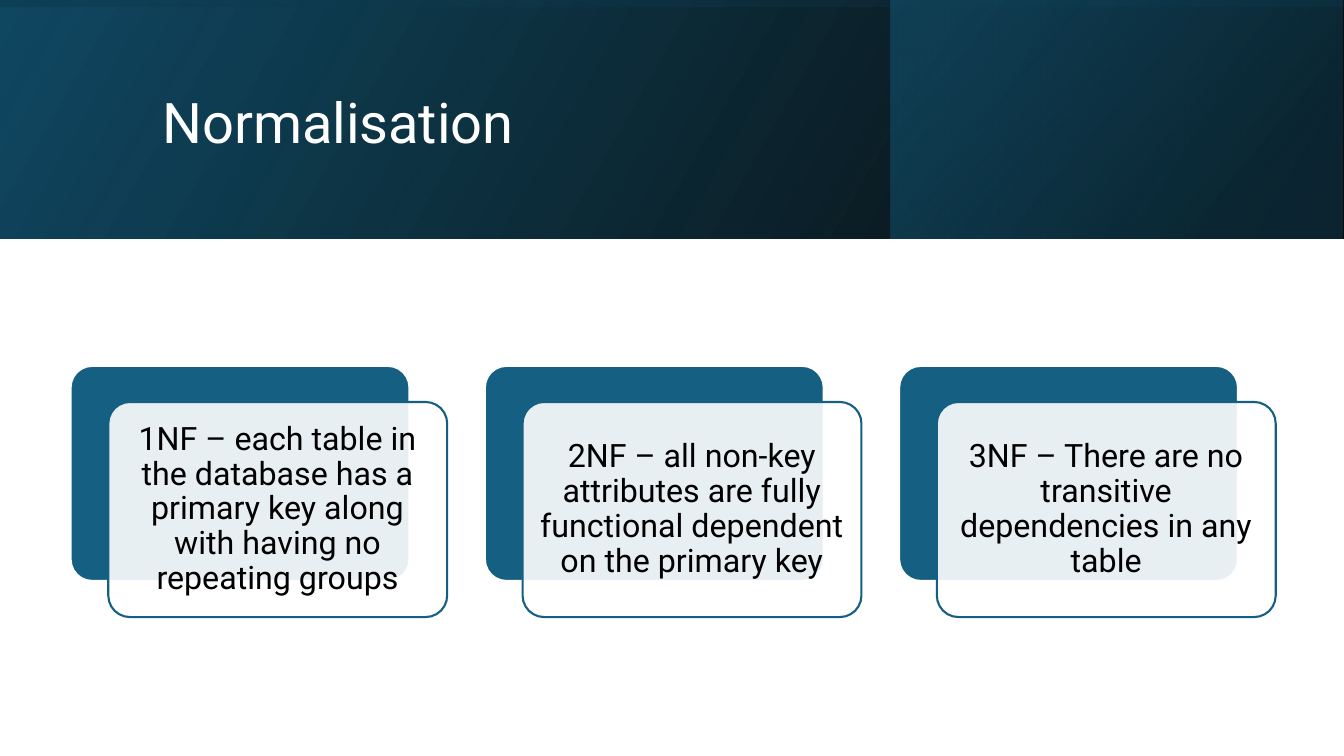
from lxml.etree import SubElement
from pptx import Presentation
from pptx.dml.color import RGBColor
from pptx.enum.shapes import MSO_SHAPE
from pptx.enum.text import MSO_ANCHOR, MSO_AUTO_SIZE, PP_ALIGN
from pptx.oxml.ns import qn
from pptx.util import Cm, Pt

WIDE, HIGH, BAND = 33.87, 19.05, 6.02
BLUE, WHITE, BLACK = "156082", "FFFFFF", "000000"
NAVY = "104862"
FORMS = [
    "1NF – each table in the database has a primary key along with having no repeating groups",
    "2NF – all non-key attributes are fully functional dependent on the primary key",
    "3NF – There are no transitive dependencies in any table",
]
BANDS = [
    ((0, 0, WIDE, BAND), 0, 330, [(0, BLACK, 96), (100, NAVY, 100)]),
    ((22.45, 0, 11.38, BAND), 0, 320, [(19, "0B3041", 68), (100, BLUE, 48)]),
    (((WIDE - BAND) / 2, (BAND - WIDE) / 2, BAND, WIDE), 270, 350,
     [(23, NAVY, 16), (99, BLACK, 45)]),
]


def color(code):
    return RGBColor.from_string(code)


def apply(item, style):
    for name, value in style.items():
        setattr(item, name, value)


def fade(node, alpha):
    SubElement(node, qn("a:alpha"), val=str(alpha * 1000))


class Deck:
    font = "Roboto"
    frame = {"word_wrap": True, "auto_size": MSO_AUTO_SIZE.NONE,
             "vertical_anchor": MSO_ANCHOR.MIDDLE}
    inset = {f"margin_{side}": Cm(0.25) for side in ("left", "top", "right", "bottom")}

    def __init__(self):
        self.show = Presentation()
        apply(self.show, {"slide_width": Cm(WIDE), "slide_height": Cm(HIGH)})
        self.slide = self.show.slides.add_slide(self.show.slide_layouts[5])
        self.shapes = self.slide.shapes

    def label(self, shape, text, size, ink, align):
        box = shape.text_frame
        apply(box, {**self.frame, **self.inset})
        line = box.paragraphs[0]
        apply(line, {"text": text, "alignment": align, "line_spacing": 0.9})
        font = line.runs[0].font
        apply(font, {"name": self.font, "size": Pt(size)})
        font.color.rgb = color(ink)

    def band(self, place, turn, angle, stops):
        shape = self.shapes.add_shape(MSO_SHAPE.RECTANGLE, *map(Cm, place))
        shape.shadow.inherit = False
        shape.rotation = turn
        shape.line.fill.background()
        shape.fill.gradient()
        props = shape._element.spPr
        props.xfrm.set("flipH", "1")
        grad = props.find(qn("a:gradFill"))
        grad.clear()
        grad.set("rotWithShape", "1")
        group = SubElement(grad, qn("a:gsLst"))
        for pos, code, alpha in stops:
            stop = SubElement(group, qn("a:gs"), pos=str(pos * 1000))
            fade(SubElement(stop, qn("a:srgbClr"), val=code), alpha)
        SubElement(grad, qn("a:lin"), ang=str(angle * 60000), scaled="0")

    def title(self, text, place):
        shape = self.shapes.title
        apply(shape, dict(zip(("left", "top", "width", "height"), map(Cm, place))))
        self.label(shape, text, 40, WHITE, PP_ALIGN.LEFT)
        self.shapes._spTree.append(shape._element)

    def panel(self, group, left, top, fill, edge):
        shape = group.shapes.add_shape(
            MSO_SHAPE.ROUNDED_RECTANGLE, Cm(left), Cm(top), Cm(8.54), Cm(5.42))
        shape.shadow.inherit = False
        shape.adjustments[0] = 0.1
        shape.fill.solid()
        shape.fill.fore_color.rgb = color(fill)
        shape.line.color.rgb = color(edge)
        shape.line.width = Pt(1.5)
        return shape

    def card(self, group, left, top, text):
        self.panel(group, left, top, BLUE, WHITE)
        front = self.panel(group, left + 0.95, top + 0.91, WHITE, BLUE)
        fill = front._element.spPr.find(qn("a:solidFill"))
        fade(fill[0], 90)
        self.label(front, text, 23, BLACK, PP_ALIGN.CENTER)


def main():
    deck = Deck()
    for band in BANDS:
        deck.band(*band)
    deck.title("Normalisation", (3.84, 0.97, 27, 4.37))
    group = deck.shapes.add_group_shape()
    for step, text in enumerate(FORMS):
        deck.card(group, 1.78 + 10.44 * step, 9.22, text)
    deck.show.save("out.pptx")


if __name__ == "__main__":
    main()
